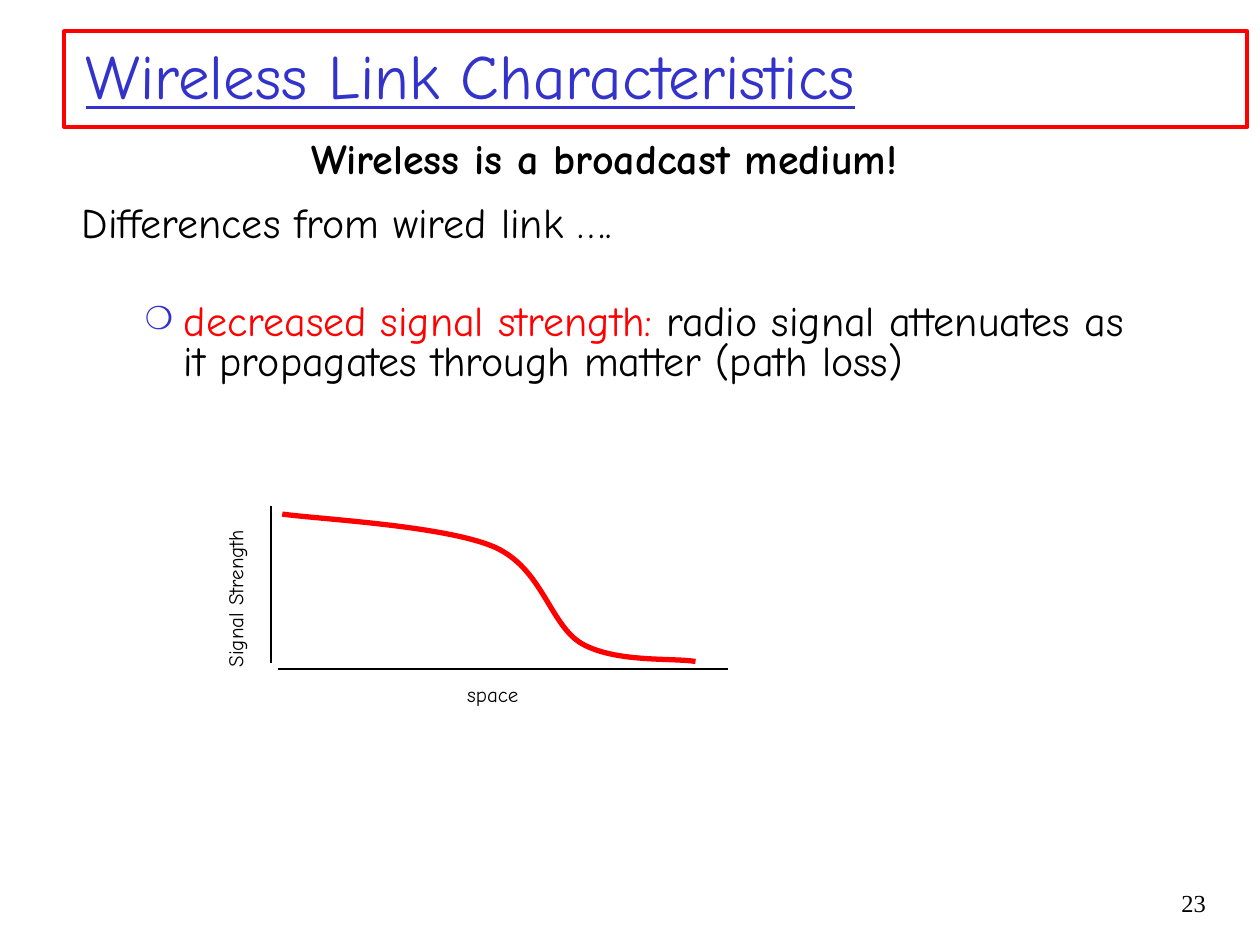
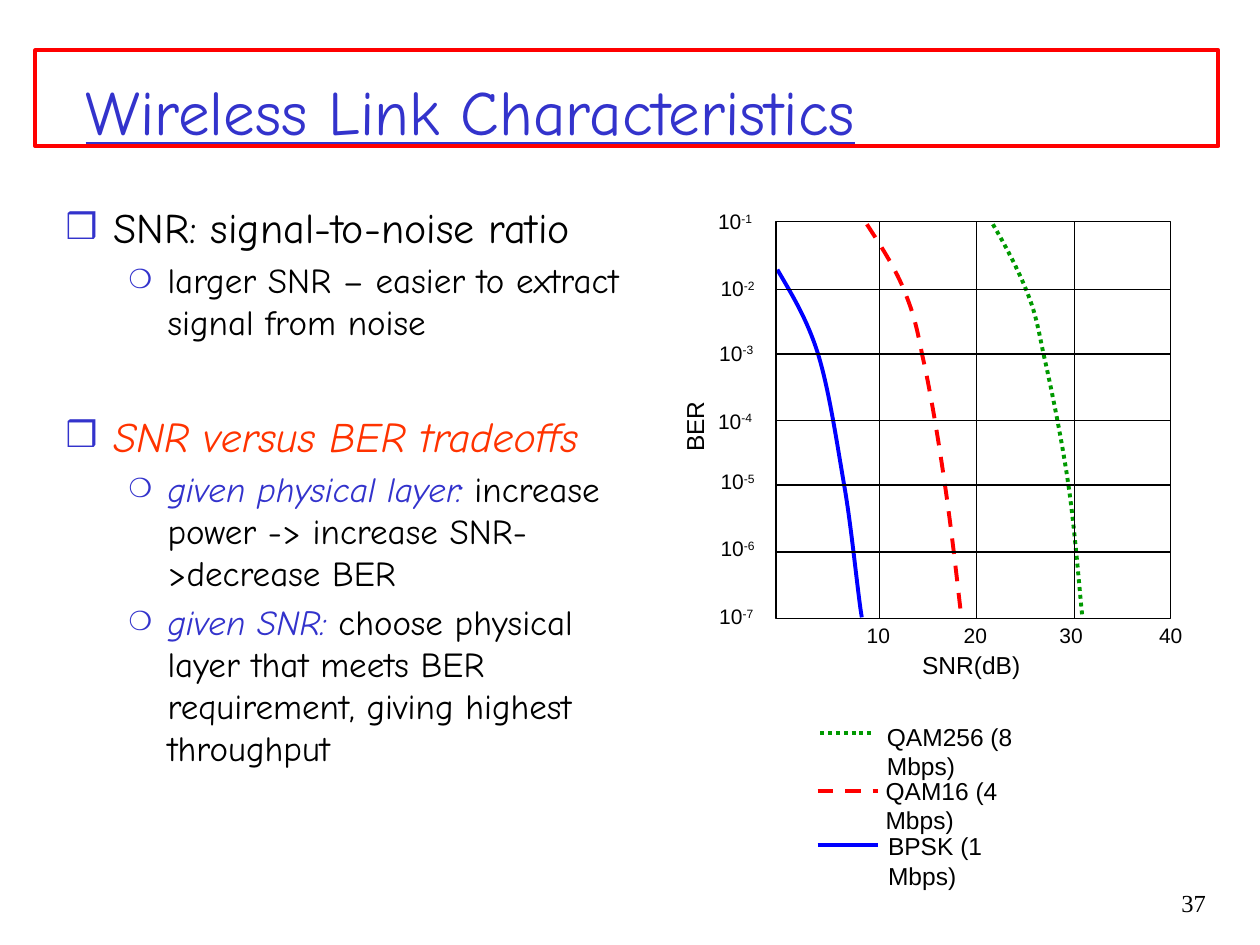
from dataclasses import dataclass

from lxml import etree
from pptx import Presentation
from pptx.dml.color import RGBColor
from pptx.enum.dml import MSO_LINE
from pptx.enum.shapes import MSO_CONNECTOR, MSO_SHAPE
from pptx.enum.text import MSO_ANCHOR, MSO_AUTO_SIZE as AUTO_SIZE, PP_ALIGN as ALIGN
from pptx.oxml.ns import qn
from pptx.util import Inches, Pt


@dataclass(frozen=True)
class Theme:
    black: str = "000000"
    red: str = "FF0000"
    indigo: str = "3333CC"
    orange: str = "FF3300"
    blue: str = "0000FF"
    green: str = "009900"
    display_font: str = "Comic Neue"
    label_font: str = "Arial"
    number_font: str = "Times New Roman"
    title_size: int = 36
    body_size: int = 24
    sub_size: int = 20
    legend_size: int = 14
    label_size: int = 12
    thin: float = 0.75
    medium: float = 2.25
    thick: float = 3


THEME = Theme()
# Bullet character, size in percent, left indent, hanging indent and level by style
BULLETS = {
    "box": ("❒", 85, 0.38, -0.38, 0),
    "circle": ("❍", 75, 0.81, -0.31, 1),
    "none": (None, 0, 0.38, -0.38, 0),
}


# ---- Text ----
def format_run(run, size, color=THEME.black, font=THEME.display_font,
               bold=False, italic=False):
    run.font.name = font
    run.font.size = Pt(size)
    run.font.color.rgb = RGBColor.from_string(color)
    run.font.bold = bold
    run.font.italic = italic


def place(shape, left, top, width, height):
    shape.left, shape.top = Inches(left), Inches(top)
    shape.width, shape.height = Inches(width), Inches(height)


def add_text(slide, text, box, size, font=THEME.display_font, align=ALIGN.LEFT,
             bold=False, wrap=False, rotation=0, superscript="", right_margin=0.1):
    shape = slide.shapes.add_textbox(*map(Inches, box))
    shape.rotation = rotation
    frame = shape.text_frame
    frame.text = text
    frame.word_wrap = wrap
    frame.auto_size = AUTO_SIZE.SHAPE_TO_FIT_TEXT
    frame.margin_right = Inches(right_margin)
    paragraph = frame.paragraphs[0]
    paragraph.alignment = align
    if superscript:
        raised = paragraph.add_run()
        raised.text = superscript
        raised.font._element.set("baseline", "30000")
    for run in paragraph.runs:
        format_run(run, size, font=font, bold=bold)


def set_bullet(paragraph, style):
    character, percent, left, hanging, level = BULLETS[style]
    paragraph.level = level
    properties = paragraph._p.get_or_add_pPr()
    properties.set("marL", str(Inches(left)))
    properties.set("indent", str(Inches(hanging)))
    if character is None:
        etree.SubElement(properties, qn("a:buNone"))
        return
    color = etree.SubElement(properties, qn("a:buClr"))
    etree.SubElement(color, qn("a:srgbClr")).set("val", THEME.indigo)
    etree.SubElement(properties, qn("a:buSzPct")).set("val", str(percent * 1000))
    etree.SubElement(properties, qn("a:buChar")).set("char", character)


def fill_body(slide, box, items, line_spacing=1.0):
    """Each item is (bullet style, size, space before, [(text, colour, italic)])."""
    body = slide.placeholders[1]
    place(body, *box)
    frame = body.text_frame
    frame.auto_size = AUTO_SIZE.NONE
    for index, (style, size, space_before, pieces) in enumerate(items):
        paragraph = frame.add_paragraph() if index else frame.paragraphs[0]
        set_bullet(paragraph, style)
        paragraph.line_spacing = line_spacing
        paragraph.space_before = Pt(space_before)
        for text, color, italic in pieces:
            run = paragraph.add_run()
            run.text = text
            format_run(run, size, color, italic=italic)


# ---- Lines and shapes ----
def style_line(line, color, weight, dash=None):
    line.color.rgb = RGBColor.from_string(color)
    line.width = Pt(weight)
    if dash is not None:
        line.dash_style = dash


def add_line(slide, start, end, color=THEME.black, weight=THEME.thin, dash=None):
    line = slide.shapes.add_connector(
        MSO_CONNECTOR.STRAIGHT, *map(Inches, start + end))
    style_line(line.line, color, weight, dash)
    etree.SubElement(line._element.spPr, qn("a:effectLst"))
    return line


def add_frame(slide, box, color, weight):
    frame = slide.shapes.add_shape(MSO_SHAPE.RECTANGLE, *map(Inches, box))
    frame.shadow.inherit = False
    frame.fill.background()
    style_line(frame.line, color, weight)
    return frame


def add_curve(slide, knots, color, weight, dash=None):
    """Draw cubic curves: a start point, then three points for each curve."""
    points = [(Inches(x), Inches(y)) for x, y in knots]
    builder = slide.shapes.build_freeform(*points[0])
    builder.add_line_segments(points[1:], close=False)
    curve = builder.convert_to_shape()
    # Gather each three line segments into one cubic segment
    segments = list(curve._element.iter(qn("a:lnTo")))
    for first in range(0, len(segments), 3):
        cubic = etree.Element(qn("a:cubicBezTo"))
        segments[first].addprevious(cubic)
        for segment in segments[first:first + 3]:
            cubic.append(segment[0])
            segment.getparent().remove(segment)
    curve.shadow.inherit = False
    curve.fill.background()
    style_line(curve.line, color, weight, dash)


# ---- Shared slide parts ----
def add_content_slide(presentation, number, title_height):
    slide = presentation.slides.add_slide(presentation.slide_layouts[1])
    title = slide.shapes.title
    place(title, 0.58, 0.25, 8.5, title_height)
    frame = title.text_frame
    frame.text = "Wireless Link Characteristics"
    frame.auto_size = AUTO_SIZE.NONE
    frame.vertical_anchor = MSO_ANCHOR.MIDDLE
    paragraph = frame.paragraphs[0]
    paragraph.alignment = ALIGN.LEFT
    format_run(paragraph.runs[0], THEME.title_size, THEME.indigo)
    paragraph.runs[0].font.underline = True
    add_text(slide, number, (8.93, 7, 0.74, 0.5), THEME.legend_size,
             THEME.number_font, ALIGN.RIGHT, wrap=True)
    return slide


def add_title_band(slide, left, top):
    add_frame(slide, (left, top, 9.39, 0.76), THEME.red, THEME.medium)


# ---- Slide: path loss ----
def build_path_loss(presentation):
    slide = add_content_slide(presentation, "23", 0.68)
    fill_body(slide, (0.55, 1.59, 8.5, 5.68), [
        ("none", THEME.body_size, 0,
         [("Differences from wired link ….", THEME.black, False)]),
        ("circle", THEME.body_size, 32.5,
         [("decreased signal strength:", THEME.red, False),
          (" radio signal attenuates as it propagates through matter (path loss)",
           THEME.black, False)]),
    ], line_spacing=0.8)
    add_text(slide, "Wireless is a broadcast medium!", (1.4, 1, 6.79, 0.51),
             THEME.body_size, align=ALIGN.CENTER, bold=True, wrap=True)

    # Signal strength over space
    add_line(slide, (2.21, 5.31), (5.78, 5.31))
    add_line(slide, (2.15, 4.02), (2.15, 5.26))
    add_curve(slide, [
        (2.24, 4.08), (2.52, 4.12), (3.52, 4.17), (3.92, 4.34), (4.31, 4.51),
        (4.36, 4.96), (4.62, 5.11), (4.89, 5.26), (5.33, 5.22), (5.52, 5.25),
    ], THEME.red, THEME.thick)
    add_text(slide, "space", (3.61, 5.36, 0.63, 0.3), THEME.label_size)
    add_text(slide, "Signal Strength", (1.14, 4.52, 1.45, 0.3), THEME.label_size,
             rotation=270)
    add_title_band(slide, 0.51, 0.25)


# ---- Slide: SNR versus BER ----
def add_error_curves(slide):
    add_curve(slide, [
        (6.17, 2.14), (6.28, 2.33), (6.4, 2.52), (6.49, 2.8), (6.58, 3.09),
        (6.64, 3.5), (6.7, 3.85), (6.76, 4.19), (6.81, 4.73), (6.84, 4.9),
    ], THEME.blue, THEME.medium)
    add_curve(slide, [
        (6.88, 1.78), (6.99, 1.95), (7.1, 2.12), (7.17, 2.29), (7.24, 2.46),
        (7.27, 2.56), (7.32, 2.82), (7.38, 3.08), (7.45, 3.5), (7.5, 3.85),
        (7.55, 4.19), (7.59, 4.55), (7.63, 4.9),
    ], THEME.red, THEME.medium, MSO_LINE.DASH)
    add_curve(slide, [
        (7.88, 1.78), (7.98, 1.95), (8.07, 2.12), (8.14, 2.29), (8.21, 2.46),
        (8.23, 2.55), (8.28, 2.8), (8.34, 3.06), (8.43, 3.5), (8.48, 3.85),
        (8.53, 4.19), (8.57, 4.71), (8.59, 4.89),
    ], THEME.green, THEME.medium, MSO_LINE.ROUND_DOT)


def add_grid(slide):
    left, top, width, height = 6.16, 1.76, 3.13, 3.15
    plot = add_frame(slide, (left, top, width, height), THEME.black, THEME.thin)
    for row, y in enumerate((2.3, 2.81, 3.34, 3.85, 4.38)):
        line = add_line(slide, (left, y), (left + width, y))
        if row == 2:  # the middle row joins the frame
            line.begin_connect(plot, 1)
            line.end_connect(plot, 3)
    for x in (6.98, 7.75, 8.53):
        add_line(slide, (x, top), (x, top + height))


def add_axis_labels(slide):
    for value, left in zip((10, 20, 30, 40), (6.78, 7.55, 8.31, 9.1)):
        add_text(slide, str(value), (left, 4.89, 0.39, 0.3), THEME.label_size,
                 THEME.label_font)
    corners = [(5.6, 1.61), (5.62, 2.14), (5.61, 2.65), (5.6, 3.19), (5.62, 3.67),
               (5.62, 4.2), (5.61, 4.74)]
    for exponent, corner in enumerate(corners, start=1):
        add_text(slide, "10", corner + (0.48, 0.3), THEME.label_size,
                 THEME.label_font, superscript=f"-{exponent}")
    add_text(slide, "SNR(dB)", (7.22, 5.11, 0.98, 0.33), THEME.legend_size,
             THEME.label_font)
    add_text(slide, "BER", (5.21, 3.22, 0.6, 0.33), THEME.legend_size,
             THEME.label_font, rotation=270)


def add_legend(slide):
    # Label, colour, dash, line ends and height, label place
    entries = [
        ("BPSK (1 Mbps)", THEME.blue, None, (6.49, 6.97, 6.71), (6.95, 6.55, 1.54)),
        ("QAM16 (4 Mbps)", THEME.red, MSO_LINE.DASH, (6.49, 6.97, 6.28),
         (6.93, 6.11, 1.68)),
        ("QAM256 (8 Mbps)", THEME.green, MSO_LINE.ROUND_DOT, (6.51, 6.94, 5.82),
         (6.94, 5.68, 1.78)),
    ]
    for label, color, dash, (start, end, y), box in entries:
        add_line(slide, (start, y), (end, y), color, THEME.medium, dash)
        add_text(slide, label, box + (0.33,), THEME.legend_size, THEME.label_font,
                 wrap=True, right_margin=0.45)


def build_error_rates(presentation):
    slide = add_content_slide(presentation, "37", 1.25)
    fill_body(slide, (0.42, 1.55, 4.84, 4.88), [
        ("box", THEME.body_size, 0,
         [("SNR: signal-to-noise ratio", THEME.black, False)]),
        ("circle", THEME.sub_size, 3.6,
         [("larger SNR – easier to extract signal from noise", THEME.black, False)]),
        ("box", THEME.body_size, 38.8,
         [("SNR versus BER tradeoffs", THEME.orange, True)]),
        ("circle", THEME.sub_size, 4,
         [("given physical layer:", THEME.indigo, True),
          (" increase power -> increase SNR->decrease BER", THEME.black, False)]),
        ("circle", THEME.sub_size, 4,
         [("given SNR:", THEME.indigo, True),
          (" choose physical layer that meets BER requirement, giving highest "
           "throughput", THEME.black, False)]),
    ])
    add_error_curves(slide)
    add_grid(slide)
    add_axis_labels(slide)
    add_legend(slide)
    add_title_band(slide, 0.28, 0.4)


def main():
    presentation = Presentation()
    presentation.slide_width = Inches(10)
    presentation.slide_height = Inches(7.5)
    build_path_loss(presentation)
    build_error_rates(presentation)
    presentation.save("out.pptx")


if __name__ == "__main__":
    main()
